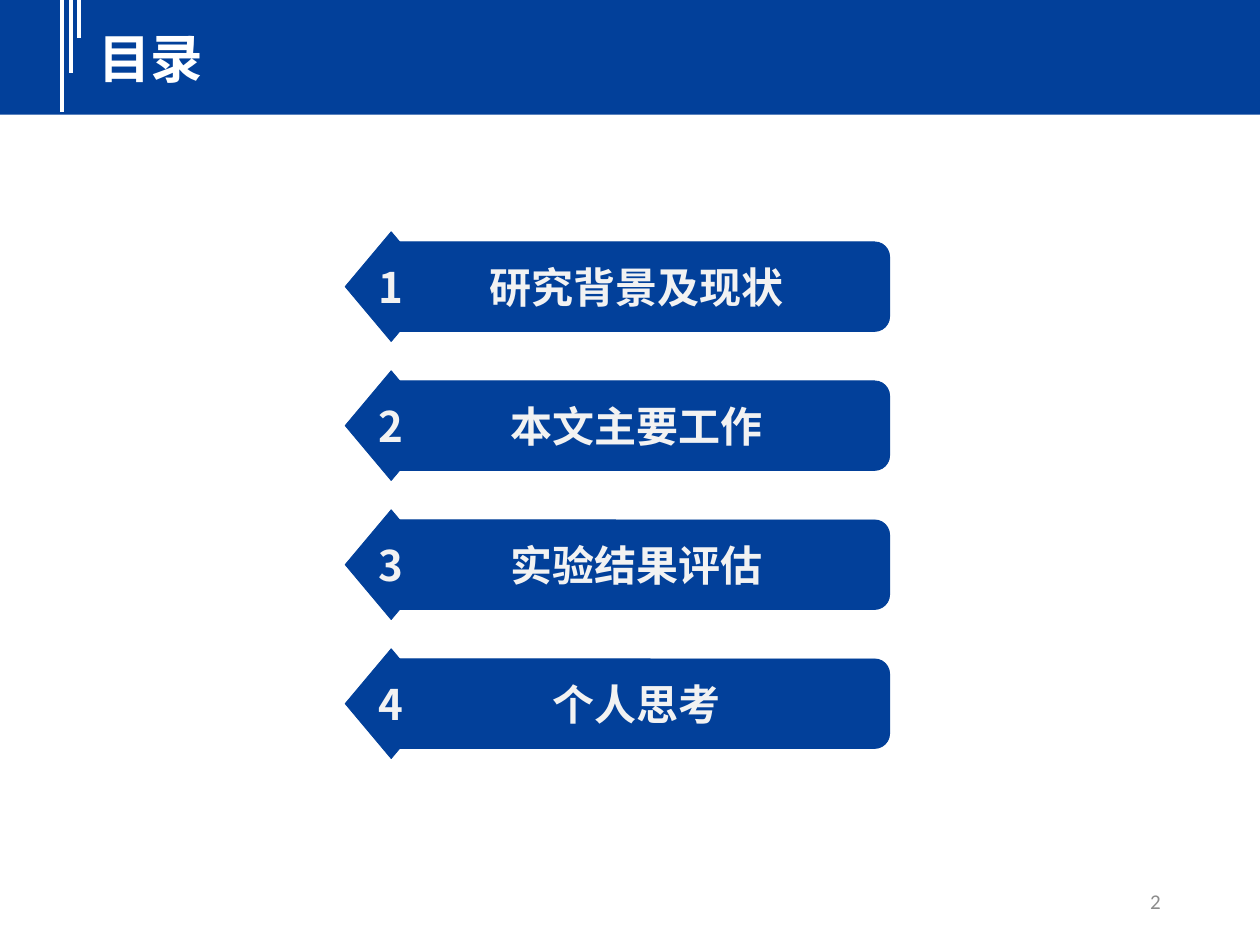
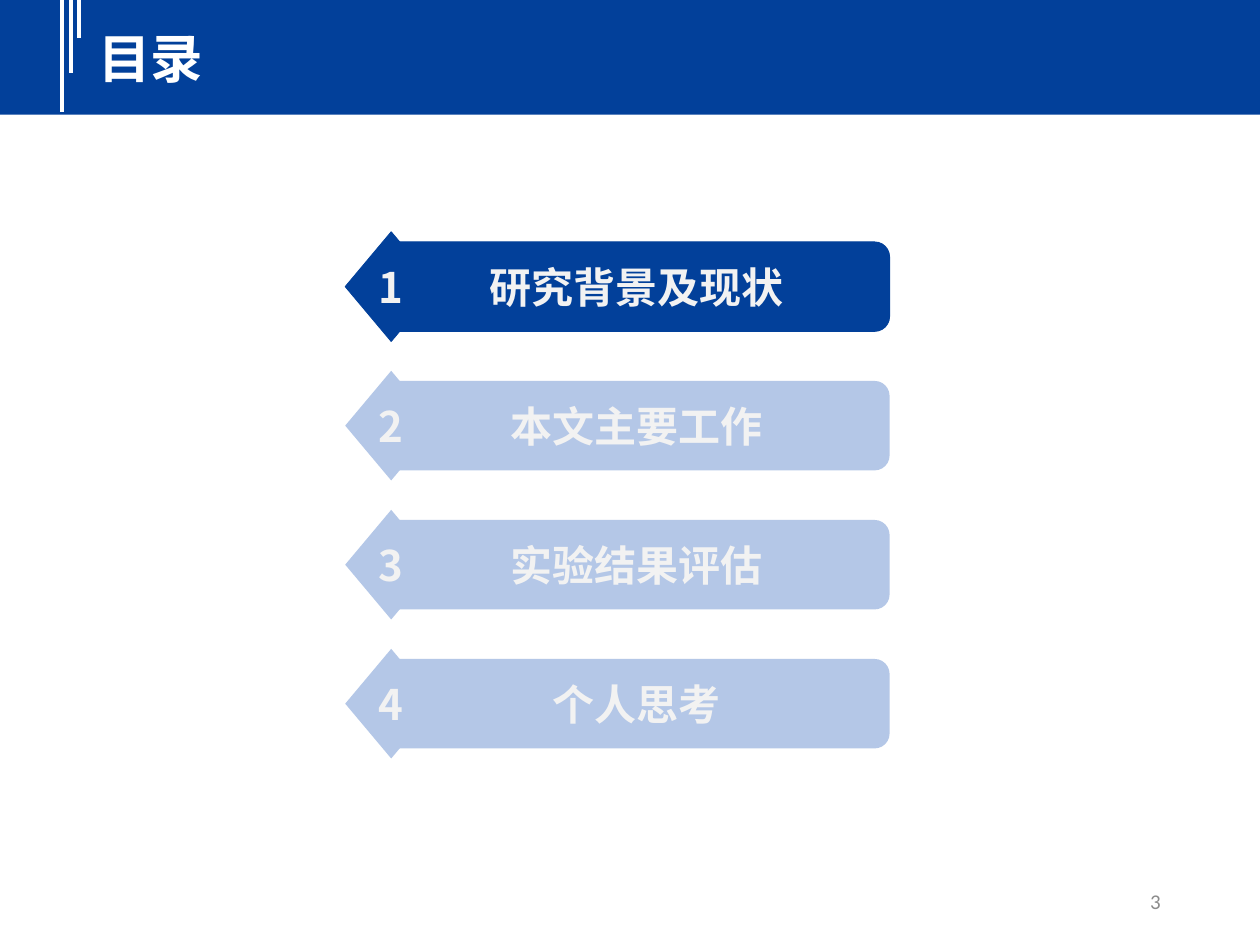
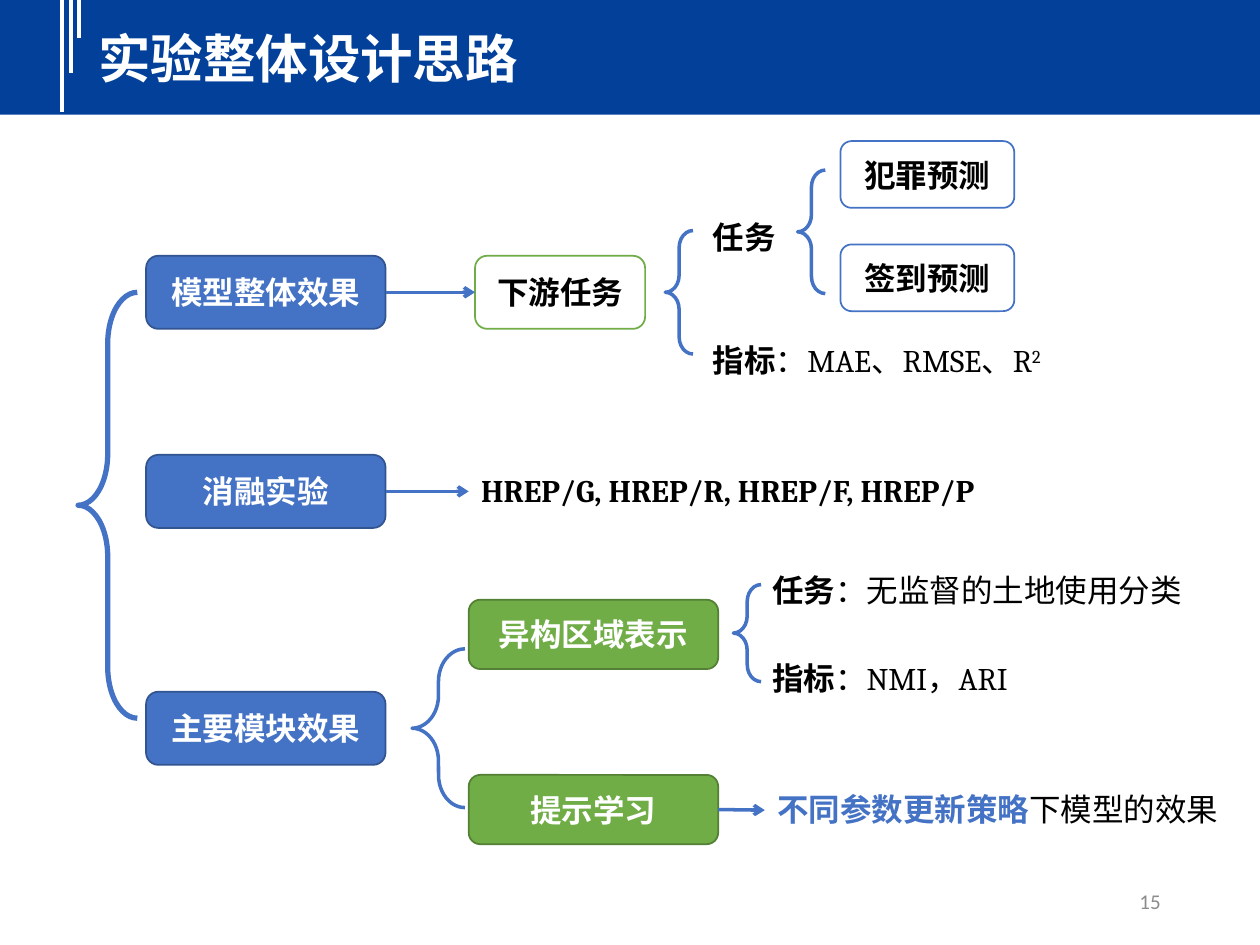
"""Build two agenda slides and an experiment design map with a shared header."""
from lxml import etree
from pptx import Presentation
from pptx import util as u
from pptx.dml.color import RGBColor
from pptx.enum import shapes, text
from pptx.oxml import ns

COLORS = {"navy": "02409A", "pale": "B4C7E7", "white": "FFFFFF", "soft": "F2F2F2",
          "gray": "8C8C8C", "black": "000000", "blue": "4472C4", "blue_edge": "325491",
          "green": "70AD47", "green_edge": "538035"}
CJK = "Noto Sans CJK SC"
STYLES = {
    "title": {"size": 30, "name": CJK, "color": "white", "bold": True},
    "number": {"size": 24, "name": CJK, "color": "soft", "bold": True},
    "topic": {"size": 24, "name": "Calibri", "color": "soft", "bold": True},
    "footer": {"size": 12, "name": "Calibri", "color": "gray", "bold": False},
    "on_fill": {"size": 18, "name": "Calibri", "color": "white", "bold": True},
    "on_white": {"size": 18, "name": "Calibri", "color": "black", "bold": True},
    "strong": {"size": 18, "name": "Cambria", "color": "black", "bold": True},
    "accent": {"size": 18, "name": "Cambria", "color": "blue", "bold": True},
    "body": {"size": 18, "name": "Cambria", "color": "black", "bold": False},
    "super": {"size": 18, "name": "Cambria", "color": "black", "bold": False, "baseline": 30000},
}
HEADER_TOP = -0.03
STRIPES = [(0.49, 0.89), (0.56, 0.58), (0.63, 0.3)]

AGENDA_TITLE = "目录"
TOPICS = ["研究背景及现状", "本文主要工作", "实验结果评估", "个人思考"]
FIRST_TOP, LAST_TOP = 1.92, 5.23
AGENDAS = [("2", range(4)), ("3", [0])]

DESIGN_TITLE, DESIGN_PAGE = "实验整体设计思路", "15"
KINDS = {
    "branch": {"size": (1.9, 0.58), "fill": "blue", "edge": "blue_edge", "style": "on_fill"},
    "module": {"size": (1.98, 0.55), "fill": "green", "edge": "green_edge", "style": "on_fill"},
    "downstream": {"size": (1.35, 0.58), "fill": "white", "edge": "green", "style": "on_white"},
    "task": {"size": (1.38, 0.53), "fill": "white", "edge": "blue", "style": "on_white"},
}
NODES = [
    ("模型整体效果", "branch", 1.16, 2.03), ("消融实验", "branch", 1.16, 3.61),
    ("主要模块效果", "branch", 1.16, 5.49), ("异构区域表示", "module", 3.72, 4.76),
    ("提示学习", "module", 3.72, 6.15), ("下游任务", "downstream", 3.77, 2.03),
    ("犯罪预测", "task", 6.67, 1.12), ("签到预测", "task", 6.67, 1.94),
]
BRACES = [
    ((0.62, 2.32, 0.47, 3.38), 0.863, 3), ((3.27, 5.15, 0.42, 1.26), 0.617, 2),
    ((5.28, 1.83, 0.22, 0.98), 0.617, 2), ((6.33, 1.35, 0.22, 0.98), 0.617, 2),
    ((5.82, 4.64, 0.22, 0.77), 0.617, 2),
]
NOTES = [
    ((5.56, 1.53, 0.72, 0.55), 1.5, [("任务", "strong")]),
    ((5.56, 2.51, 3.16, 0.55), 1.5,
     [("指标", "strong"), ("：MAE、RMSE、R", "body"), ("2", "super")]),
    ((3.72, 3.66, 4.27, 0.47), 1.1, [("HREP/G, HREP/R, HREP/F, HREP/P", "strong")]),
    ((6.03, 4.45, 3.56, 0.46), 1.1, [("任务", "strong"), ("：无监督的土地使用分类", "body")]),
    ((6.03, 5.15, 3.33, 0.43), 1.1, [("指标", "strong"), ("：NMI，ARI", "body")]),
    ((6.07, 6.19, 3.73, 0.47), 1.1,
     [("不同参数更新策略", "accent"), ("下模型的效果", "body")]),
]
ARROWS = [("模型整体效果", "下游任务", 3.77, 2.32), ("消融实验", None, 3.72, 3.9),
          ("提示学习", None, 6.07, 6.43)]


def rgb(name):
    return RGBColor.from_string(COLORS[name])


def write(box, runs, align="LEFT", anchor="TOP", wrap=True, spacing=None):
    frame = box.text_frame
    frame.word_wrap = wrap
    frame.vertical_anchor = text.MSO_ANCHOR[anchor]
    para = frame.paragraphs[0]
    para.alignment = text.PP_ALIGN[align]
    para.line_spacing = spacing
    for words, style in runs:
        span = para.add_run()
        span.text = words
        look = STYLES[style]
        for key, value in {"size": u.Pt(look["size"]), "name": look["name"],
                           "bold": look["bold"]}.items():
            setattr(span.font, key, value)
        span.font.color.rgb = rgb(look["color"])
        props = span.font._element
        etree.SubElement(props, ns.qn("a:ea")).set("typeface", CJK)
        if "baseline" in look:
            props.set("baseline", str(look["baseline"]))


def add_text(page, place, runs, **layout):
    write(page.shapes.add_textbox(*map(u.Inches, place)), runs, **layout)


def add_block(parent, kind, place, fill=None, edge=None, width=1):
    block = parent.shapes.add_shape(shapes.MSO_SHAPE[kind], *map(u.Inches, place))
    block.shadow.inherit = False
    if fill:
        block.fill.solid()
        block.fill.fore_color.rgb = rgb(fill)
    else:
        block.fill.background()
    if edge:
        block.line.color.rgb = rgb(edge)
        block.line.width = u.Pt(width)
    else:
        block.line.fill.background()
    return block


def add_line(page, start, end, color, width, arrow=False):
    line = page.shapes.add_connector(shapes.MSO_CONNECTOR.STRAIGHT,
                                     *map(u.Inches, (*start, *end)))
    line.line.color.rgb = rgb(color)
    line.line.width = u.Pt(width)
    if arrow:
        etree.SubElement(line.line._get_or_add_ln(), ns.qn("a:tailEnd")).set("type", "arrow")
    etree.SubElement(line._element.spPr, ns.qn("a:effectLst"))
    return line


def add_page(deck, title, number):
    page = deck.slides.add_slide(deck.slide_layouts[6])
    add_block(page, "RECTANGLE", (0, HEADER_TOP, 10, 0.94), "navy")
    for x, bottom in STRIPES:
        add_line(page, (x, HEADER_TOP), (x, bottom), "white", 2.25)
    add_text(page, (0.68, 0.16, 9.12, 0.6), [(title, "title")])
    add_text(page, (7.06, 6.95, 2.25, 0.4), [(number, "footer")], align="RIGHT", anchor="MIDDLE")
    return page


def add_agenda(deck, number, active):
    page = add_page(deck, AGENDA_TITLE, number)
    pitch = (LAST_TOP - FIRST_TOP) / (len(TOPICS) - 1)
    for index, topic in enumerate(TOPICS):
        top = FIRST_TOP + index * pitch
        fill, edge = ("navy", "navy") if index in active else ("pale", None)
        row = page.shapes.add_group_shape()
        bar = add_block(row, "ROUNDED_RECTANGLE", (3.04, top, 4.02, 0.71), fill, edge, 0.5)
        badge = add_block(row, "DIAMOND", (2.74, top - 0.08, 0.73, 0.87), fill, edge, 0.5)
        for box, words, style in [(bar, topic, "topic"), (badge, str(index + 1), "number")]:
            write(box, [(words, style)], align="CENTER", anchor="MIDDLE", wrap=False)


def add_design(deck):
    page = add_page(deck, DESIGN_TITLE, DESIGN_PAGE)
    nodes = {}
    for label, kind, left, top in NODES:
        look = KINDS[kind]
        node = add_block(page, "ROUNDED_RECTANGLE", (left, top, *look["size"]),
                         look["fill"], look["edge"])
        write(node, [(label, look["style"])], align="CENTER", anchor="MIDDLE")
        nodes[label] = node
    for place, curve, width in BRACES:
        brace = add_block(page, "LEFT_BRACE", place, edge="blue", width=width)
        brace.adjustments[0] = curve
    for place, spacing, runs in NOTES:
        add_text(page, place, runs, spacing=spacing)
    for source, target, x, y in ARROWS:
        arrow = add_line(page, (x, y), (x, y), "blue", 2, arrow=True)
        arrow.begin_connect(nodes[source], 3)
        if target:
            arrow.end_connect(nodes[target], 1)


def main():
    deck = Presentation()
    deck.slide_width, deck.slide_height = u.Inches(10), u.Inches(7.5)
    for number, active in AGENDAS:
        add_agenda(deck, number, active)
    add_design(deck)
    deck.save("out.pptx")


if __name__ == "__main__":
    main()
